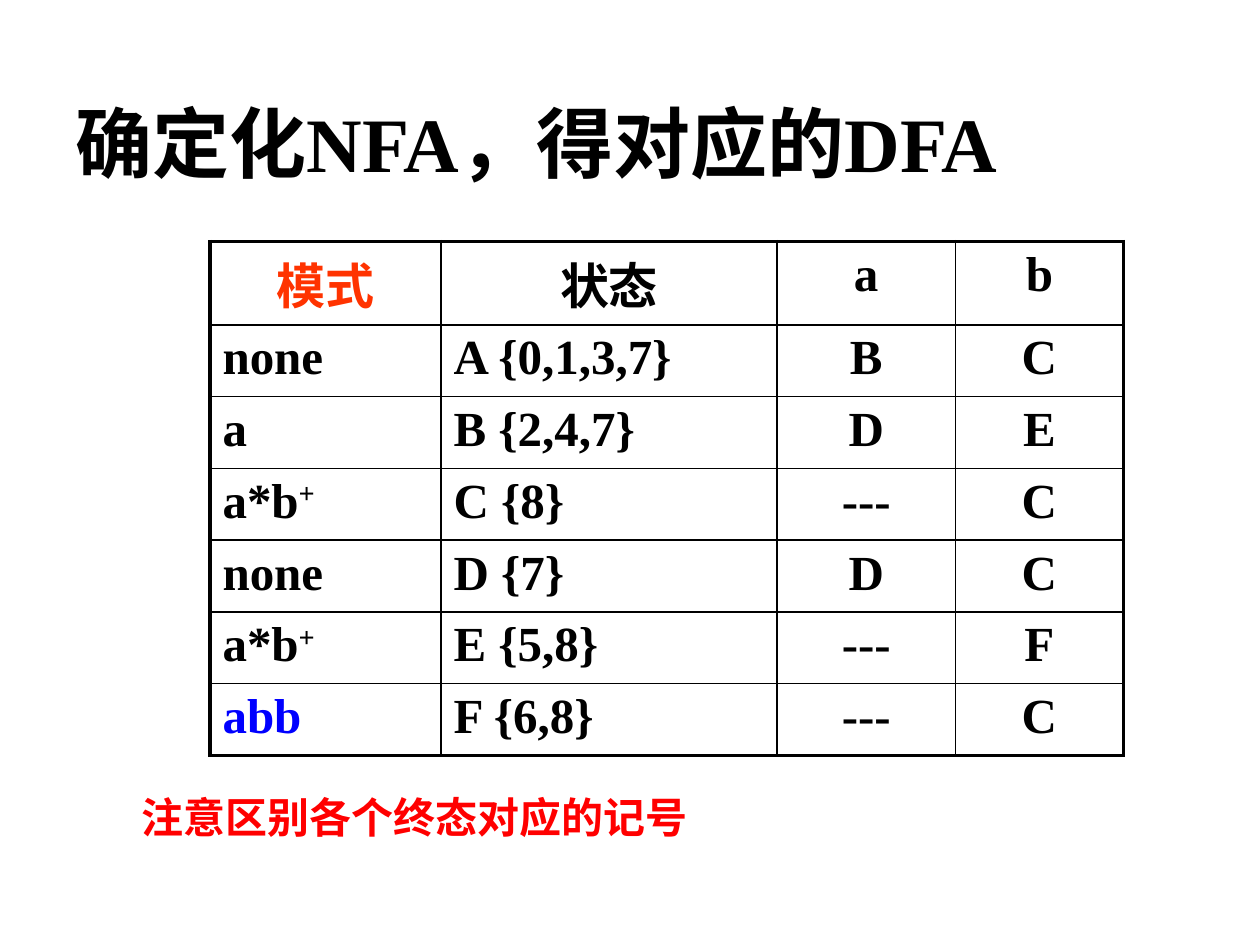
"""Build a slide with the table of DFA states obtained from an NFA."""
import pptx
import pptx.dml.color
import pptx.enum.lang
import pptx.enum.text
import pptx.oxml
import pptx.oxml.ns
import pptx.util
import lxml.etree

Pt = pptx.util.Pt
ALIGN = pptx.enum.text.PP_ALIGN
BLACK, ORANGE, RED, BLUE = "000000", "FF3300", "FF0000", "0000FF"
LATIN, CHINESE = "Times New Roman", "Noto Sans CJK SC"


def add_run(paragraph, text, size, name, color):
    run = paragraph.add_run()
    run.text = text
    run.font.color.rgb = pptx.dml.color.RGBColor.from_string(color)
    values = {
        "size": Pt(size),
        "name": name,
        "bold": True,
        "language_id": pptx.enum.lang.MSO_LANGUAGE_ID.SIMPLIFIED_CHINESE,
    }
    for attribute, value in values.items():
        setattr(run.font, attribute, value)
    properties = run._r.get_or_add_rPr()
    east_asian = lxml.etree.SubElement(properties, pptx.oxml.ns.qn("a:ea"))
    east_asian.set("typeface", CHINESE)
    return run


def set_border(cell, side, width):
    properties = cell._tc.get_or_add_tcPr()
    line = lxml.etree.SubElement(properties, pptx.oxml.ns.qn(f"a:ln{side}"), w=str(Pt(width)))
    fill = lxml.etree.SubElement(line, pptx.oxml.ns.qn("a:solidFill"))
    lxml.etree.SubElement(fill, pptx.oxml.ns.qn("a:srgbClr"), val=BLACK)


presentation = pptx.Presentation()
presentation.slide_width, presentation.slide_height = Pt(720), Pt(540)
slide = presentation.slides.add_slide(presentation.slide_layouts[5])

title = slide.shapes.title
for attribute, value in {"left": 36, "top": 50.4, "width": 648, "height": 61.2}.items():
    setattr(title, attribute, Pt(value))
title.text_frame.auto_size = pptx.enum.text.MSO_AUTO_SIZE.NONE
title.text_frame.vertical_anchor = pptx.enum.text.MSO_ANCHOR.MIDDLE
paragraph = title.text_frame.paragraphs[0]
paragraph.alignment = ALIGN.LEFT
add_run(paragraph, "确定化NFA，得对应的DFA", 44, LATIN, BLACK)

rows = [
    ["模式", "状态", "a", "b"],
    ["none", "A {0,1,3,7}", "B", "C"],
    ["a", "B {2,4,7}", "D", "E"],
    ["a*b+", "C {8}", "---", "C"],
    ["none", "D {7}", "D", "C"],
    ["a*b+", "E {5,8}", "---", "F"],
    ["abb", "F {6,8}", "---", "C"],
]
column_widths = [132, 192, 102, 96]
row_height = 41
text_colors = {"模式": ORANGE, "abb": BLUE}
last_row, last_column = len(rows) - 1, len(column_widths) - 1

table = slide.shapes.add_table(
    len(rows), len(column_widths), Pt(120), Pt(138),
    Pt(sum(column_widths)), Pt(row_height * len(rows)),
).table
table.first_row = table.horz_banding = False
for column, width in zip(table.columns, column_widths):
    column.width = Pt(width)

for row_index, row in enumerate(rows):
    table.rows[row_index].height = Pt(row_height)
    for column_index, text in enumerate(row):
        cell = table.cell(row_index, column_index)
        outer_sides = {
            "L": column_index == 0,
            "R": column_index == last_column,
            "T": row_index == 0,
            "B": row_index == last_row,
        }
        for side, is_outer in outer_sides.items():
            set_border(cell, side, 2.25 if is_outer else 1)
        cell.fill.background()
        paragraph = cell.text_frame.paragraphs[0]
        centered = row_index == 0 or column_index > 1
        paragraph.alignment = ALIGN.CENTER if centered else ALIGN.LEFT
        name = CHINESE if row_index == 0 and column_index < 2 else LATIN
        color = text_colors.get(text, BLACK)
        add_run(paragraph, text.rstrip("+"), 28, name, color)
        if text.endswith("+"):
            superscript = add_run(paragraph, "+", 28, name, color)
            superscript._r.get_or_add_rPr().set("baseline", "30000")

note = slide.shapes.add_textbox(Pt(73.5), Pt(448.5), Pt(389), Pt(36))
note.text_frame.word_wrap = True
note.text_frame.auto_size = pptx.enum.text.MSO_AUTO_SIZE.SHAPE_TO_FIT_TEXT
add_run(note.text_frame.paragraphs[0], "注意区别各个终态对应的记号", 24, "Arial", RED)

presentation.save("out.pptx")
